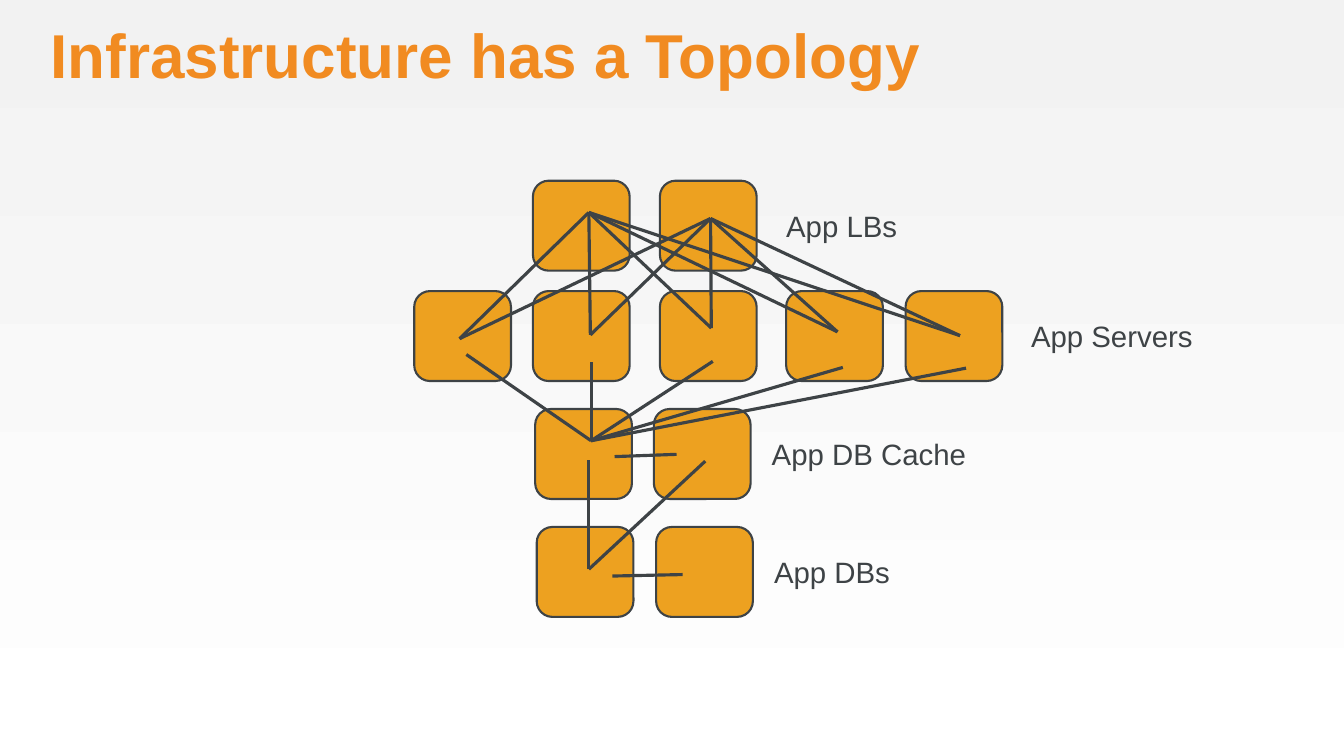
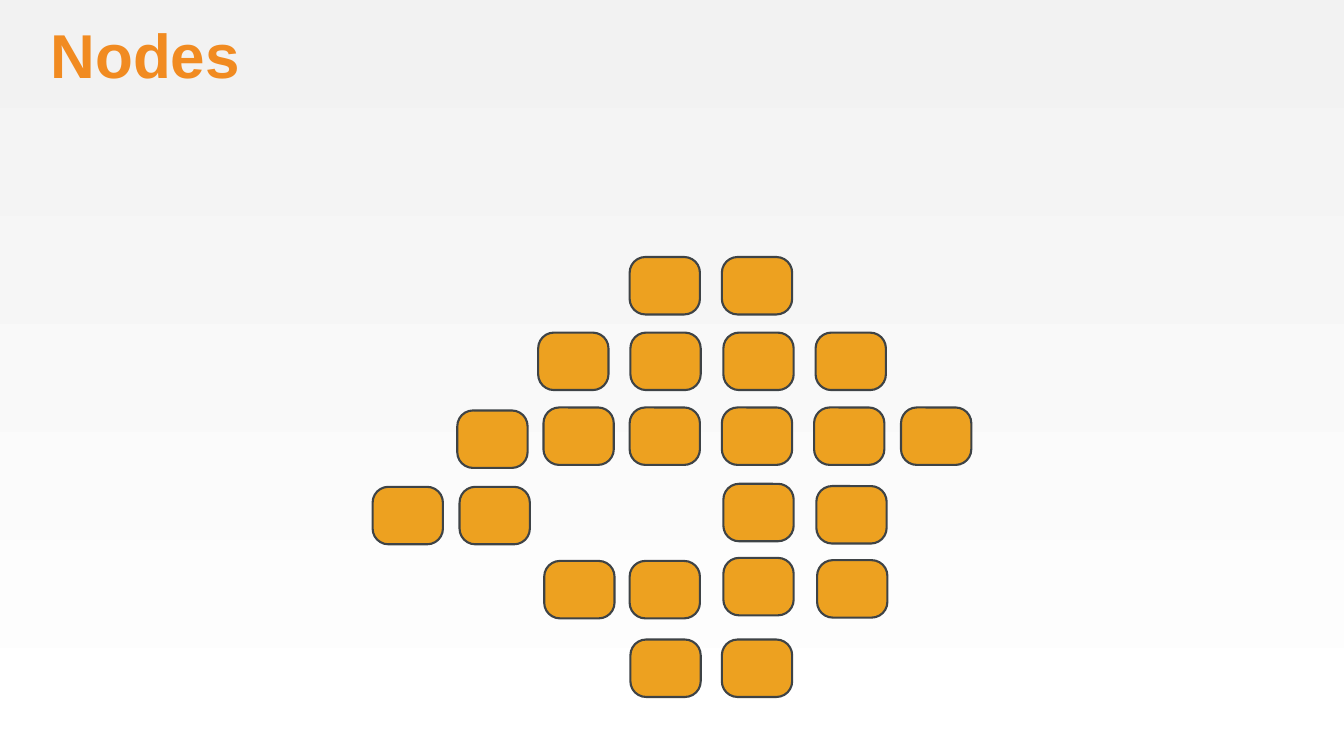
import lxml.etree
import pptx
import pptx.dml.color
import pptx.enum.shapes
import pptx.enum.text
import pptx.oxml.ns
import pptx.util

COLOURS = {
    "title": "F18B21",
    "node": "EDA120",
    "ink": "3E4346",
    "sky": "F2F2F2",
    "ground": "FFFFFF",
}
FONT = "Arial"
ROWS = 100  # the grid has square cells, 100 rows high and 177.8 columns wide


def colour(name):
    return pptx.dml.color.RGBColor.from_string(COLOURS[name])


class Pages:
    """Holds the shared style and the current page; lengths are grid cells."""

    def __init__(self):
        self.deck = pptx.Presentation()
        self.deck.slide_width = pptx.util.Inches(17.78)
        self.deck.slide_height = pptx.util.Inches(10)
        self.page = None
        self.paint_background()

    def cells(self, *counts):
        return [round(self.deck.slide_height * count / ROWS) for count in counts]

    def paint_background(self):
        fill = self.deck.slide_master.background.fill
        fill.gradient()
        fill.gradient_angle = 270
        for stop, position, name in zip(fill.gradient_stops, (0, 1), ("sky", "ground")):
            stop.position = position
            stop.color.rgb = colour(name)

    def start(self, title):
        self.page = self.deck.slides.add_slide(self.deck.slide_layouts[5])
        box = self.page.shapes.title
        box.left, box.top, box.width, box.height = self.cells(6.7, 3.3, 163.3, 9.1)
        para = self.set_text(box, title, 59, "title", pptx.enum.text.MSO_ANCHOR.TOP, True)
        para.line_spacing = 0.9

    def set_text(self, box, text, size, ink, anchor, bold=False):
        frame = box.text_frame
        frame.word_wrap = True
        frame.auto_size = pptx.enum.text.MSO_AUTO_SIZE.NONE
        frame.vertical_anchor = anchor
        frame.margin_left = frame.margin_top = 0
        frame.margin_right = frame.margin_bottom = 0
        para = frame.paragraphs[0]
        para.alignment = pptx.enum.text.PP_ALIGN.LEFT
        span = para.add_run()
        span.text = text
        span.font.name = FONT
        span.font.size = pptx.util.Pt(size)
        span.font.bold = bold
        span.font.color.rgb = colour(ink)
        return para

    def label(self, text, left, top, width):
        box = self.page.shapes.add_textbox(*self.cells(left, top, width, 5.8))
        self.set_text(box, text, 28, "ink", pptx.enum.text.MSO_ANCHOR.MIDDLE)

    def nodes(self, lefts, top, size, rounding):
        """Draw one row of equal rounded boxes."""
        for left in lefts:
            box = self.page.shapes.add_shape(
                pptx.enum.shapes.MSO_SHAPE.ROUNDED_RECTANGLE,
                *self.cells(left, top, *size))
            box.adjustments[0] = rounding
            box.shadow.inherit = False
            box.fill.solid()
            box.fill.fore_color.rgb = colour("node")
            box.line.color.rgb = colour("ink")
            box.line.width = pptx.util.Pt(2)

    def link(self, start, end):
        line = self.page.shapes.add_connector(
            pptx.enum.shapes.MSO_CONNECTOR.STRAIGHT, *self.cells(*start, *end))
        line.line.color.rgb = colour("ink")
        line.line.width = pptx.util.Pt(3)
        lxml.etree.SubElement(line._element.spPr, pptx.oxml.ns.qn("a:effectLst"))

    def fan(self, hub, ends):
        for end in ends:
            self.link(hub, end)


def topology_page(pages):
    pages.start("Infrastructure has a Topology")
    # label, top of the row, lefts of its nodes, left and width of the label
    tiers = [
        ("App LBs", 23.9, [70.5, 87.3], 104, 20.1),
        ("App Servers", 38.5, [54.8, 70.5, 87.3, 104, 119.8], 136.4, 29.4),
        ("App DB Cache", 54.1, [70.8, 86.5], 102.1, 46.3),
        ("App DBs", 69.7, [71, 86.8], 102.4, 50.3),
    ]
    for text, top, lefts, label_left, label_width in tiers:
        pages.nodes(lefts, top, (12.8, 11.9), 0.175)
        pages.label(text, label_left, top + 3, label_width)

    server_inputs = [(60.8, 44.8), (78.1, 44.3), (94.1, 43.4), (110.8, 43.9), (127, 44.4)]
    server_outputs = [(61.7, 46.9), (78.2, 47.9), (94.3, 47.8), (111.5, 48.6), (127.8, 48.7)]
    for balancer in [(77.9, 28.1), (94, 28.9)]:
        pages.fan(balancer, server_inputs)
    pages.fan((78.2, 58.3), server_outputs)
    pages.fan((77.9, 75.3), [(77.9, 60.8), (93.3, 61)])
    pages.link((81.3, 60.4), (89.5, 60.1))
    pages.link((81, 76.2), (90.3, 76))


def nodes_page(pages):
    pages.start("Nodes")
    lefts_by_top = {
        34: [83.3, 95.5],
        44: [71.2, 83.4, 95.7, 107.9],
        53.9: [71.9, 83.3, 95.5, 107.7, 119.2],
        54.3: [60.5],
        64: [95.7],
        64.3: [108],
        64.4: [49.3, 60.8],
        73.8: [95.7],
        74.1: [108.1],
        74.2: [72, 83.3],
        84.6: [83.4, 95.5],
    }
    for top, lefts in lefts_by_top.items():
        pages.nodes(lefts, top, (9.3, 7.6), 0.274)


def main():
    pages = Pages()
    topology_page(pages)
    nodes_page(pages)
    pages.deck.save("out.pptx")


if __name__ == "__main__":
    main()
